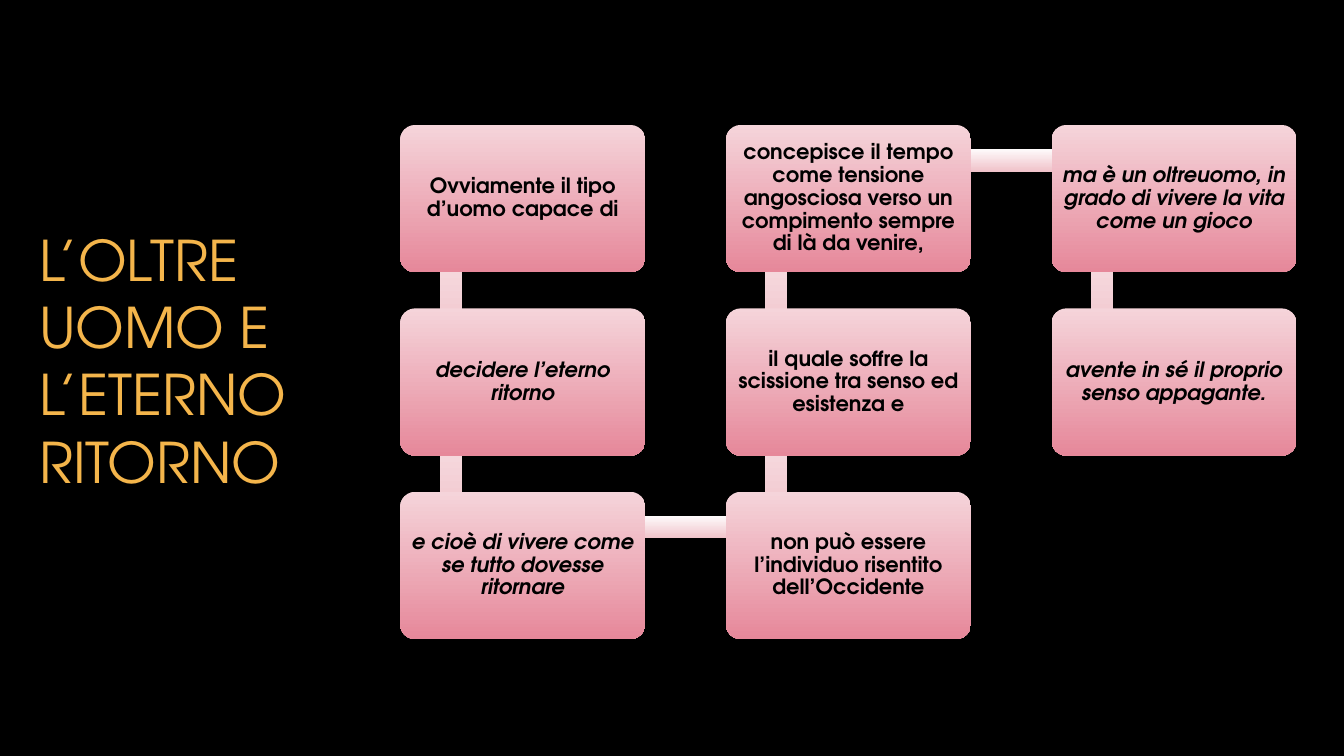
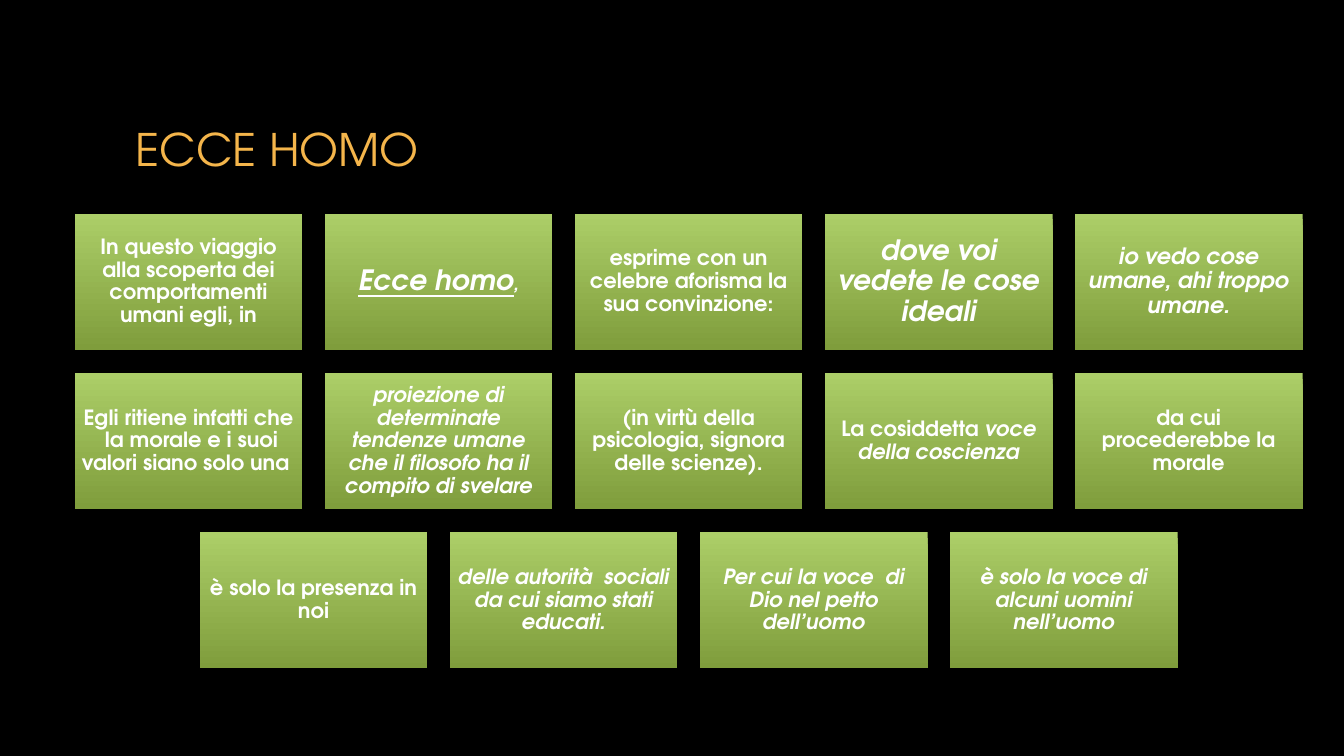
from itertools import pairwise

from pptx import Presentation
from pptx.dml.color import RGBColor
from pptx.enum import shapes, text
from pptx.util import Inches, Pt

FONT = "TeX Gyre Adventor"
COLORS = {"background": "000000", "title": "F4B54B", "dark": "000000", "light": "FFFFFF"}
GRADIENTS = {
    "bar": ("FEFAFB", "F0C3CA"),
    "pink": ("F5D4DA", "E6889A"),
    "green": ("ACCE68", "7F9D3C"),
}
STYLES = {
    "plain": {"size": 15, "bold": True},
    "italic": {"size": 15, "bold": True, "italic": True},
    "quote": {"size": 16, "bold": True, "italic": True},
    "large": {"size": 20, "bold": True, "italic": True},
    "work": {"size": 20, "bold": True, "italic": True, "underline": True},
    "comma": {"size": 13, "bold": True, "italic": True},
}

# Slide 1: steps as (column, row, style, text), in reading order
STEPS_TITLE = "L’OLTRE UOMO E L’ETERNO RITORNO"
STEPS = [
    (0, 0, "plain", "Ovviamente il tipo d’uomo capace di"),
    (0, 1, "italic", "decidere l’eterno ritorno"),
    (0, 2, "italic", "e cioè di vivere come se tutto dovesse ritornare"),
    (1, 2, "plain", "non può essere l’individuo risentito dell’Occidente"),
    (1, 1, "plain", "il quale soffre la scissione tra senso ed esistenza e"),
    (1, 0, "plain", "concepisce il tempo come tensione angosciosa verso un "
                    "compimento sempre di là da venire,"),
    (2, 0, "italic", "ma è un oltreuomo, in grado di vivere la vita come un gioco"),
    (2, 1, "italic", "avente in sé il proprio senso appagante."),
]

# Slide 2: rows of cards, each card a list of (style, text) runs
CARDS_TITLE = "ECCE HOMO"
CARDS = [
    [
        [("plain", "In questo viaggio alla scoperta dei comportamenti umani egli, in")],
        [("work", "Ecce homo"), ("comma", ",")],
        [("plain", "esprime con un celebre aforisma la sua convinzione:")],
        [("large", "dove voi vedete le cose ideali")],
        [("quote", "io vedo cose umane, ahi troppo umane.")],
    ],
    [
        [("plain", "Egli ritiene infatti che  la morale e i suoi valori siano solo una ")],
        [("italic", "proiezione di determinate tendenze umane che il filosofo "
                    "ha il compito di svelare")],
        [("plain", "(in virtù della psicologia, signora delle scienze).")],
        [("plain", "La cosiddetta "), ("italic", "voce della coscienza")],
        [("plain", "da cui procederebbe la morale")],
    ],
    [
        [("plain", "è solo la presenza in noi")],
        [("italic", "delle autorità  sociali da cui siamo stati educati.")],
        [("italic", "Per cui la voce  di Dio nel petto dell’uomo")],
        [("italic", "è solo la voce di alcuni uomini nell’uomo")],
    ],
]

# Grids in inches: origin, cell size, pitch
STEP_GRID = {"origin": (3.97, 1.24), "cell": (2.43, 1.46), "pitch": (3.23, 1.82)}
CARD_GRID = {"origin": (0.74, 2.12), "cell": (2.26, 1.35), "pitch": (2.48, 1.58)}
ANCHOR = (0.5, 0.35)  # where a bar meets a step, from the step's corner
BAR = 0.22


def rgb(name):
    return RGBColor.from_string(COLORS[name])


def cell_at(grid, col, row):
    """Left and top of a grid cell."""
    return tuple(o + n * d for o, n, d in zip(grid["origin"], (col, row), grid["pitch"]))


def add_run(p, content, color, fmt):
    r = p.add_run()
    r.text = content
    values = {**fmt, "name": FONT, "size": Pt(fmt["size"])}
    for key, value in values.items():
        setattr(r.font, key, value)
    r.font.color.rgb = rgb(color)


def setup_frame(sp, inset_x, inset_y):
    tf = sp.text_frame
    values = {
        "word_wrap": True, "vertical_anchor": text.MSO_ANCHOR.MIDDLE,
        "margin_left": Inches(inset_x), "margin_right": Inches(inset_x),
        "margin_top": Inches(inset_y), "margin_bottom": Inches(inset_y),
    }
    for key, value in values.items():
        setattr(tf, key, value)
    return tf.paragraphs[0]


def add_slide(prs, title, box, size):
    s = prs.slides.add_slide(prs.slide_layouts[6])
    s.background.fill.solid()
    s.background.fill.fore_color.rgb = rgb("background")
    sp = s.shapes.add_textbox(*map(Inches, box))
    add_run(setup_frame(sp, 0.1, 0.05), title, "title", {"size": size})
    return s


def add_block(s, kind, box, gradient):
    """Shape without outline, shaded from top to bottom."""
    sp = s.shapes.add_shape(kind, *map(Inches, box))
    sp.shadow.inherit = False
    sp.line.fill.background()
    sp.fill.gradient()
    sp.fill.gradient_angle = 270
    for stop, color, position in zip(sp.fill.gradient_stops, GRADIENTS[gradient], (0, 1)):
        stop.color.rgb = RGBColor.from_string(color)
        stop.position = position
    return sp


def add_runs(sp, runs, color):
    inset = STYLES[runs[0][0]]["size"] * 0.004
    p = setup_frame(sp, inset, inset)
    p.alignment = text.PP_ALIGN.CENTER
    p.line_spacing = 0.9
    for style, content in runs:
        add_run(p, content, color, STYLES[style])


def add_bar(s, start, end):
    """Bar between the anchors of two neighbouring steps."""
    (x1, y1), (x2, y2) = [
        [c + a for c, a in zip(cell_at(STEP_GRID, *step[:2]), ANCHOR)] for step in (start, end)
    ]
    left, top = min(x1, x2), min(y1, y2)
    if x1 == x2:
        box = (left - BAR / 2, top, BAR, abs(y2 - y1))
    else:
        box = (left, top - BAR / 2, abs(x2 - x1), BAR)
    add_block(s, shapes.MSO_SHAPE.RECTANGLE, box, "bar")


def build_steps(prs):
    s = add_slide(prs, STEPS_TITLE, (0.29, 1.56, 3.31, 4.02), 40)
    for start, end in pairwise(STEPS):
        add_bar(s, start, end)
    for col, row, style, content in STEPS:
        box = cell_at(STEP_GRID, col, row) + STEP_GRID["cell"]
        sp = add_block(s, shapes.MSO_SHAPE.ROUNDED_RECTANGLE, box, "pink")
        sp.adjustments[0] = 0.1
        add_runs(sp, [(style, content)], "dark")


def build_cards(prs):
    s = add_slide(prs, CARDS_TITLE, (1.25, 0.67, 10.83, 1.61), 32)
    columns = max(map(len, CARDS))
    for row, cards in enumerate(CARDS):
        indent = (columns - len(cards)) / 2
        for col, runs in enumerate(cards):
            box = cell_at(CARD_GRID, col + indent, row) + CARD_GRID["cell"]
            add_runs(add_block(s, shapes.MSO_SHAPE.RECTANGLE, box, "green"), runs, "light")


def main():
    prs = Presentation()
    prs.slide_width, prs.slide_height = Inches(13.33), Inches(7.5)
    build_steps(prs)
    build_cards(prs)
    prs.save("out.pptx")


if __name__ == "__main__":
    main()
